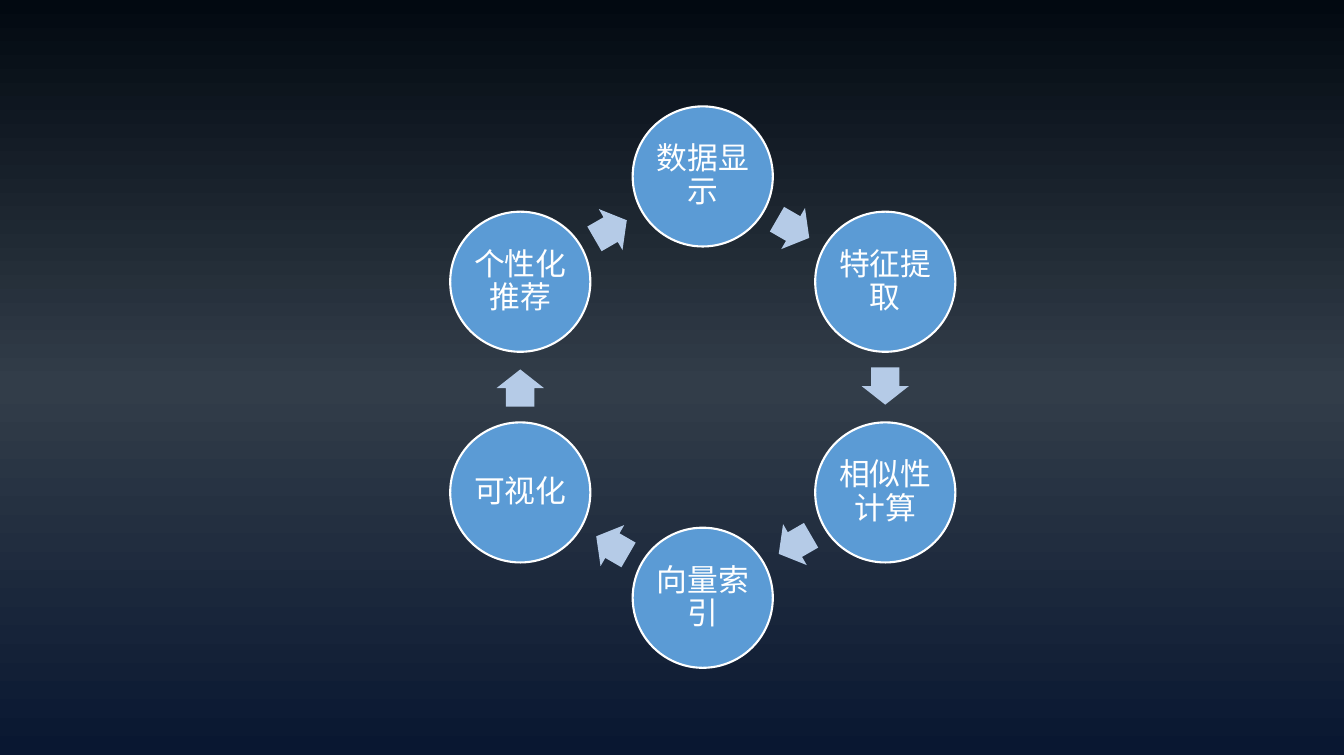
from copy import deepcopy
from math import cos, radians, sin

from pptx import Presentation
from pptx.dml.color import RGBColor
from pptx.enum.shapes import MSO_SHAPE
from pptx.enum.text import MSO_ANCHOR, PP_ALIGN
from pptx.util import Inches, Pt

RECT = MSO_SHAPE.RECTANGLE
OVAL = MSO_SHAPE.OVAL
ARROW = MSO_SHAPE.RIGHT_ARROW
MIDDLE = MSO_ANCHOR.MIDDLE
CENTER = PP_ALIGN.CENTER

COLORS = {
    "top": "020911",
    "glow": "323D49",
    "base": "091731",
    "blue": "5B9BD5",
    "pale": "B5CBE7",
    "white": "FFFFFF",
}
STEPS = ["数据显示", "特征提取", "相似性计算", "向量索引", "可视化", "个性化推荐"]
MID_X, MID_Y = 6.97, 3.84
RADIUS = 2.09
SIZE = 1.39
ARROW_W, ARROW_H = 0.37, 0.47
LAG = 0.01


def color(name):
    return RGBColor.from_string(COLORS[name])


def write(text, shape, size=22, tint="white", inset=0.02):
    frame = shape.text_frame
    frame.word_wrap = True
    frame.vertical_anchor = MIDDLE
    frame.margin_left = frame.margin_right = Inches(inset)
    frame.margin_top = frame.margin_bottom = Inches(inset)
    para = frame.paragraphs[0]
    para.alignment = CENTER
    para.line_spacing = 0.9
    run = para.add_run()
    run.text = text
    run.font.name = "Calibri"
    run.font.size = Pt(size)
    run.font.color.rgb = color(tint)


deck = Presentation()
deck.slide_width = Inches(13.33)
deck.slide_height = Inches(7.5)
slide = deck.slides.add_slide(deck.slide_layouts[6])
shapes = slide.shapes

panel = shapes.add_shape(RECT, 0, 0, deck.slide_width, Inches(7.49))
panel.shadow.inherit = False
panel.line.fill.background()
panel.fill.gradient()
panel.fill.gradient_angle = 270
first = panel.fill._fill._gradFill.gsLst[0]
first.addnext(deepcopy(first))
for stop, (name, place) in zip(
    panel.fill.gradient_stops, [("top", 0), ("glow", 0.51), ("base", 1)]
):
    stop.color.rgb = color(name)
    stop.position = place

for i, step in enumerate(STEPS):
    angle = radians(60 * i - 90)
    x = MID_X + RADIUS * cos(angle)
    y = MID_Y + RADIUS * sin(angle)
    disc = shapes.add_shape(
        OVAL, Inches(x - SIZE / 2), Inches(y - SIZE / 2), Inches(SIZE), Inches(SIZE)
    )
    disc.shadow.inherit = False
    disc.fill.solid()
    disc.fill.fore_color.rgb = color("blue")
    disc.line.color.rgb = color("white")
    disc.line.width = Pt(1.5)
    write(step, disc)

    turn = 30 + 60 * i
    angle = radians(turn - 90)
    reach = RADIUS * cos(radians(30))
    x = MID_X + reach * cos(angle) - LAG * cos(radians(turn))
    y = MID_Y + reach * sin(angle) - LAG * sin(radians(turn))
    arrow = shapes.add_shape(
        ARROW,
        Inches(x - ARROW_W / 2),
        Inches(y - ARROW_H / 2),
        Inches(ARROW_W),
        Inches(ARROW_H),
    )
    arrow.rotation = turn
    arrow.adjustments[0] = 0.6
    arrow.adjustments[1] = 0.5
    arrow.shadow.inherit = False
    arrow.fill.solid()
    arrow.fill.fore_color.rgb = color("pale")
    arrow.line.fill.background()

deck.save("out.pptx")
